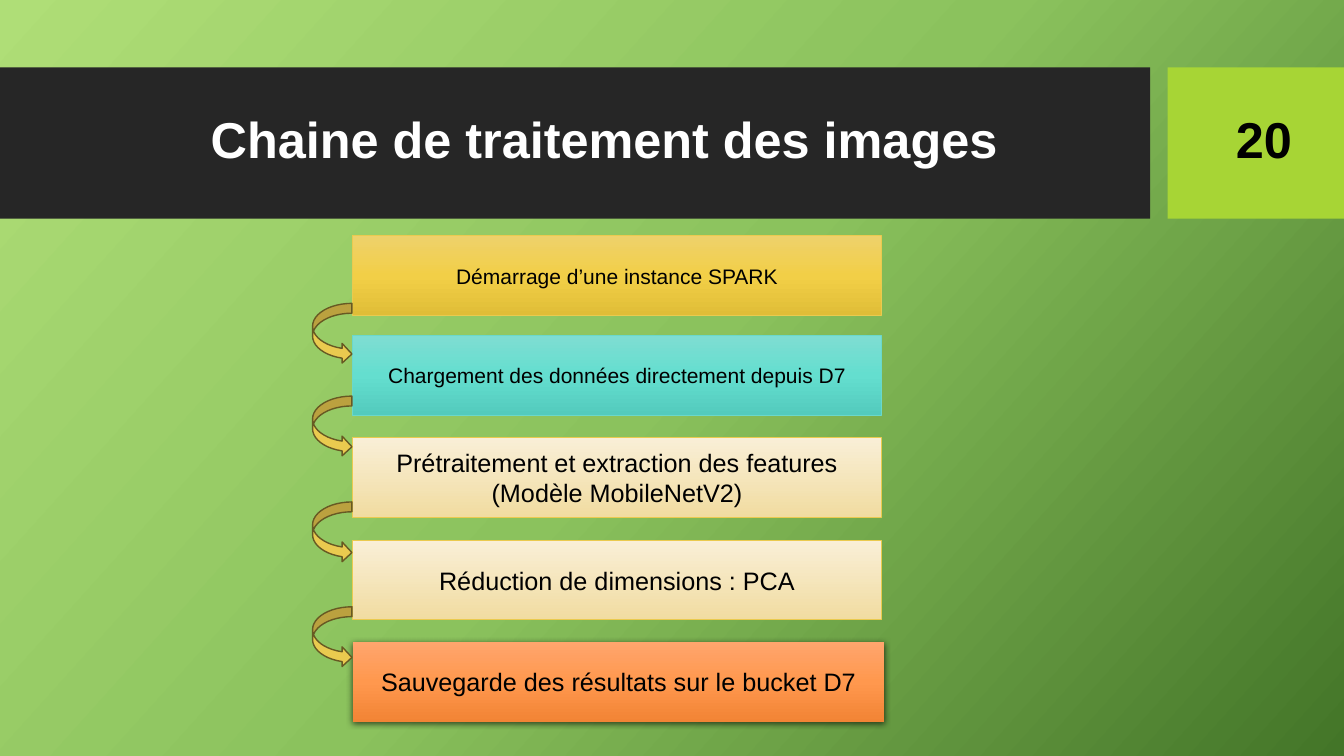
import dataclasses

import lxml.etree
import pptx
import pptx.dml.color
import pptx.dml.fill
import pptx.enum.shapes
import pptx.enum.text
import pptx.oxml.ns
import pptx.shapes.autoshape
import pptx.text.text
import pptx.util

WIDTH = pptx.util.Inches(13.33)
HEIGHT = pptx.util.Inches(7.5)
# The grid has 100 columns and 100 rows.
COL, ROW = WIDTH / 100, HEIGHT / 100

COLORS = {
    "black": "000000",
    "white": "FFFFFF",
    "band": "262626",
    "lime": "A7D535",
    "gold": "EACA4F",
    "teal": "6AD8CB",
    "brown": "675923",
}
BLENDS = {
    "green": ("AFDE77", "8BC25D", "437528"),
    "gold": ("EED16B", "F2CF47", "E0BD37"),
    "teal": ("7EDDD2", "64DECF", "53CBBD"),
    "cream": ("F9EFD7", "F1DCA1"),
    "orange": ("FFA56D", "FF984E", "F28435"),
}
HEAD = {"size": pptx.util.Pt(36), "bold": True}
KINDS = pptx.enum.shapes.MSO_SHAPE
ALIGN = pptx.enum.text.PP_ALIGN


@dataclasses.dataclass
class Box:
    """Place and size in columns and rows."""
    left: float
    top: float
    width: float
    height: float

    def spot(self) -> dict[str, int]:
        return {
            "left": round(self.left * COL),
            "top": round(self.top * ROW),
            "width": round(self.width * COL),
            "height": round(self.height * ROW),
        }


@dataclasses.dataclass
class Step:
    text: str
    top: float
    blend: str
    size: int = 18
    line: str | None = "gold"
    width: float = 39.3
    shadow: bool = False


STEPS = [
    Step("Démarrage d’une instance SPARK", 31.2, "gold", 15),
    Step("Chargement des données directement depuis D7", 44.4, "teal", 15, "teal"),
    Step("Prétraitement et extraction des features\n(Modèle MobileNetV2)", 57.87, "cream"),
    Step("Réduction de dimensions : PCA", 71.47, "cream"),
    Step("Sauvegarde des résultats sur le bucket D7", 84.93, "orange",
         line=None, width=39.53, shadow=True),
]
ARROWS = [40.13, 52.4, 66.4, 80.27]
BANDS = [(Box(0, 8.93, 85.58, 20), "band"), (Box(86.87, 8.93, 13.13, 20), "lime")]


def tone(name: str) -> pptx.dml.color.RGBColor:
    return pptx.dml.color.RGBColor.from_string(COLORS[name])


def add(parent, tag: str, **attrs: str):
    """Append a child element to an XML parent."""
    return lxml.etree.SubElement(parent, pptx.oxml.ns.qn(tag), attrs)


def blend(fill: pptx.dml.fill.FillFormat, root, name: str, angle: int) -> None:
    """Fill with evenly spaced stops, turned clockwise by angle."""
    fill.gradient()
    fill.gradient_angle = 360 - angle
    stops = next(root.iter(pptx.oxml.ns.qn("a:gsLst")))
    for old in list(stops):
        stops.remove(old)
    tones = BLENDS[name]
    for i, value in enumerate(tones):
        stop = add(stops, "a:gs", pos=str(100000 * i // (len(tones) - 1)))
        add(stop, "a:srgbClr", val=value)


def draw(shapes, kind, box: Box, fill: str | None = None, line: str | None = None,
         weight: float = 0.75) -> pptx.shapes.autoshape.Shape:
    shape = shapes.add_shape(kind, **box.spot())
    shape.shadow.inherit = False
    if fill:
        shape.fill.solid()
        shape.fill.fore_color.rgb = tone(fill)
    if line:
        shape.line.color.rgb = tone(line)
        shape.line.width = pptx.util.Pt(weight)
    else:
        shape.line.fill.background()
    return shape


def write(frame: pptx.text.text.TextFrame, text: str, look: dict, color: str = "black",
          align=ALIGN.CENTER, space: float = 1.0) -> None:
    frame.text = text
    frame.word_wrap = True
    frame.auto_size = pptx.enum.text.MSO_AUTO_SIZE.NONE
    frame.vertical_anchor = pptx.enum.text.MSO_ANCHOR.MIDDLE
    for para in frame.paragraphs:
        para.alignment = align
        para.line_spacing = space
        for run in para.runs:
            run.font.color.rgb = tone(color)
            for key, value in ({"name": "Arial"} | look).items():
                setattr(run.font, key, value)


def shade(shape: pptx.shapes.autoshape.Shape) -> None:
    """Cast a soft shadow straight down."""
    effects = next(shape.element.iter(pptx.oxml.ns.qn("a:effectLst")))
    cast = add(effects, "a:outerShdw", blurRad="57150", dist="19050",
               dir="5400000", algn="ctr", rotWithShape="0")
    add(add(cast, "a:srgbClr", val=COLORS["black"]), "a:alpha", val="63000")


def main() -> None:
    deck = pptx.Presentation()
    deck.slide_width, deck.slide_height = WIDTH, HEIGHT
    slide = deck.slides.add_slide(deck.slide_layouts[5])
    shapes = slide.shapes
    blend(slide.background.fill, slide.element, "green", 42)

    for box, color in BANDS:
        draw(shapes, KINDS.RECTANGLE, box, color)

    title = shapes.title
    title.element.getparent().append(title.element)
    for key, value in Box(5.55, 10.93, 78.84, 15.73).spot().items():
        setattr(title, key, value)
    write(title.text_frame, "Chaine de traitement des images", HEAD, "white", space=0.9)

    number = shapes.add_textbox(**Box(91.22, 13.73, 7.5, 10.13).spot())
    write(number.text_frame, "20", HEAD, align=ALIGN.LEFT, space=0.9)

    for step in STEPS:
        box = Box(26.26, step.top, step.width, 10.53)
        shape = draw(shapes, KINDS.RECTANGLE, box, line=step.line)
        blend(shape.fill, shape.element, step.blend, 90)
        write(shape.text_frame, step.text, {"size": pptx.util.Pt(step.size)})
        if step.shadow:
            shade(shape)

    for top in ARROWS:
        draw(shapes, KINDS.CURVED_RIGHT_ARROW, Box(23.26, top, 2.93, 8),
             "gold", "brown", 1)

    deck.save("out.pptx")


if __name__ == "__main__":
    main()
